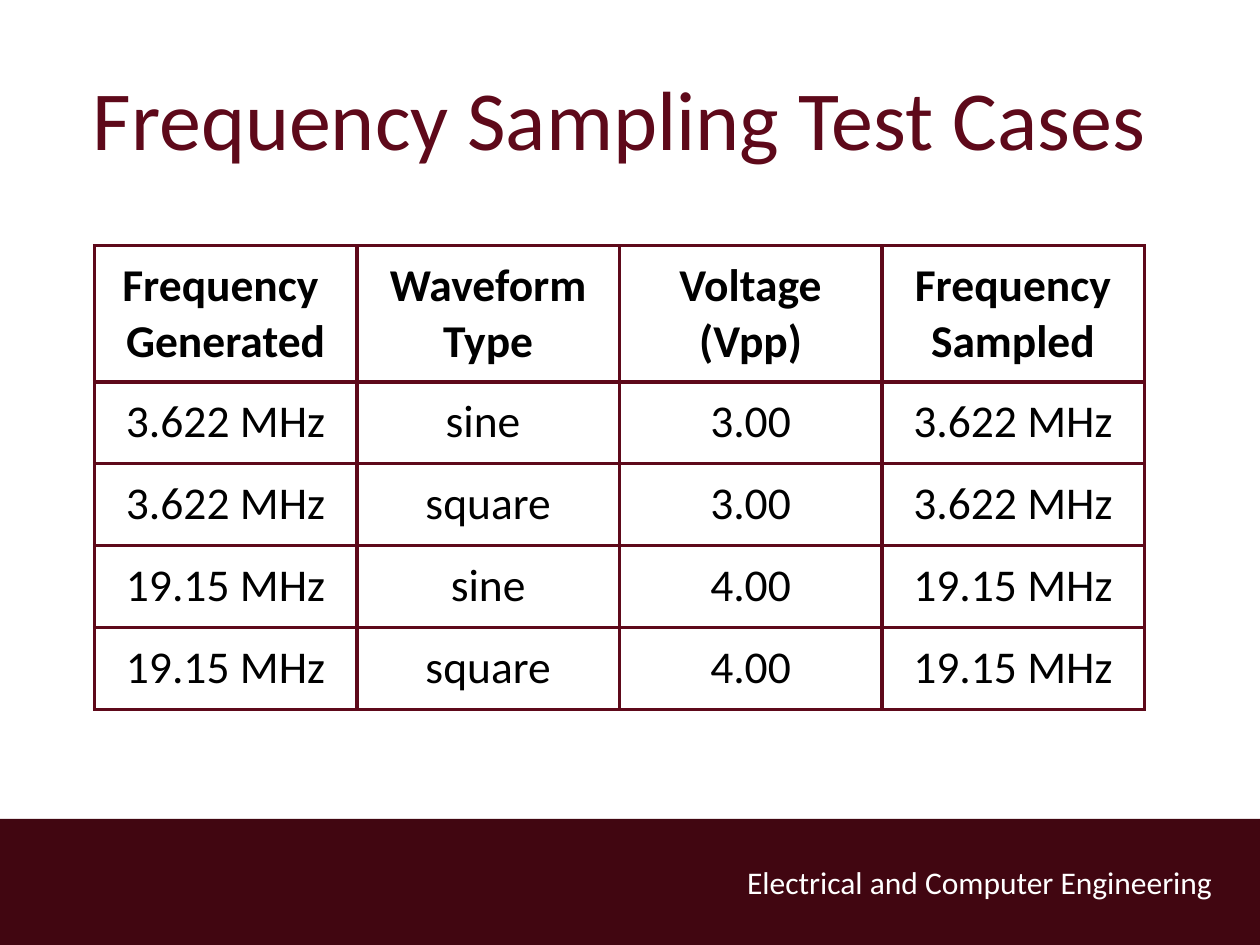
from pptx import Presentation
from pptx.dml.color import RGBColor
from pptx.enum.shapes import MSO_SHAPE
from pptx.enum.text import MSO_ANCHOR, PP_ALIGN
from pptx.oxml import parse_xml
from pptx.oxml.ns import nsdecls
from pptx.util import Pt

TITLE = "Frequency Sampling Test Cases"
DEPARTMENT = "Electrical and Computer Engineering"
HEADERS = [["Frequency ", "Generated"], ["Waveform Type"],
           ["Voltage", "(Vpp)"], ["Frequency Sampled"]]
CASES = [
    ("3.622 MHz", "sine ", "3.00", "3.622 MHz"),
    ("3.622 MHz", "square", "3.00", "3.622 MHz"),
    ("19.15 MHz", "sine", "4.00", "19.15 MHz"),
    ("19.15 MHz", "square", "4.00", "19.15 MHz"),
]
FONT = "Calibri"
MAROON, DARK, BLACK, WHITE = "5E091A", "410611", "000000", "FFFFFF"
COLUMN_WIDTH, HEADER_HEIGHT, CASE_HEIGHT = 150, 77.8, 46.8
CELL_MARGIN, BORDER_WIDTH = 7.2, 2.25


def color(value):
    return RGBColor.from_string(value)


def write(frame, lines, size, ink, align, bold=False):
    for index, line in enumerate(lines):
        para = frame.add_paragraph() if index else frame.paragraphs[0]
        para.alignment = align
        span = para.add_run()
        span.text = line
        span.font.name = FONT
        span.font.size = Pt(size)
        span.font.bold = bold
        span.font.color.rgb = color(ink)


def format_cell(cell):
    cell.margin_left = cell.margin_right = Pt(CELL_MARGIN)
    cell.margin_top = cell.margin_bottom = Pt(CELL_MARGIN)
    properties = cell._tc.get_or_add_tcPr()
    for side in ("lnL", "lnR", "lnT", "lnB"):
        properties.append(parse_xml(
            f'<a:{side} {nsdecls("a")} w="{Pt(BORDER_WIDTH)}"><a:solidFill>'
            f'<a:srgbClr val="{MAROON}"/></a:solidFill></a:{side}>'))
    cell.fill.background()


def add_footer(page):
    band = page.shapes.add_shape(MSO_SHAPE.RECTANGLE, Pt(0), Pt(468), Pt(720), Pt(72))
    band.shadow.inherit = False
    band.fill.solid()
    band.fill.fore_color.rgb = color(DARK)
    band.line.fill.background()
    box = page.shapes.add_textbox(Pt(419.8), Pt(489.6), Pt(326), Pt(28.8))
    box.text_frame.word_wrap = True
    write(box.text_frame, [DEPARTMENT], 18, WHITE, PP_ALIGN.LEFT)


def add_title(page):
    title = page.shapes.title
    title.left, title.top, title.width, title.height = Pt(38.9), Pt(21.6), Pt(630), Pt(90)
    title.text_frame.vertical_anchor = MSO_ANCHOR.MIDDLE
    write(title.text_frame, [TITLE], 48, MAROON, PP_ALIGN.CENTER)


def add_cases(page):
    rows = [HEADERS] + [[[value] for value in case] for case in CASES]
    heights = [HEADER_HEIGHT] + [CASE_HEIGHT] * len(CASES)
    table = page.shapes.add_table(
        len(rows), len(HEADERS), Pt(54), Pt(140.4),
        Pt(COLUMN_WIDTH * len(HEADERS)), Pt(sum(heights))).table
    table.horz_banding = False
    for column in table.columns:
        column.width = Pt(COLUMN_WIDTH)
    for row_index, (row, height) in enumerate(zip(rows, heights)):
        table.rows[row_index].height = Pt(height)
        for column_index, lines in enumerate(row):
            cell = table.cell(row_index, column_index)
            format_cell(cell)
            write(cell.text_frame, lines, 26, BLACK, PP_ALIGN.CENTER, row_index == 0)


def main():
    deck = Presentation()
    deck.slide_width, deck.slide_height = Pt(720), Pt(540)
    page = deck.slides.add_slide(deck.slide_layouts[5])
    add_footer(page)
    add_title(page)
    add_cases(page)
    deck.save("out.pptx")


if __name__ == "__main__":
    main()
